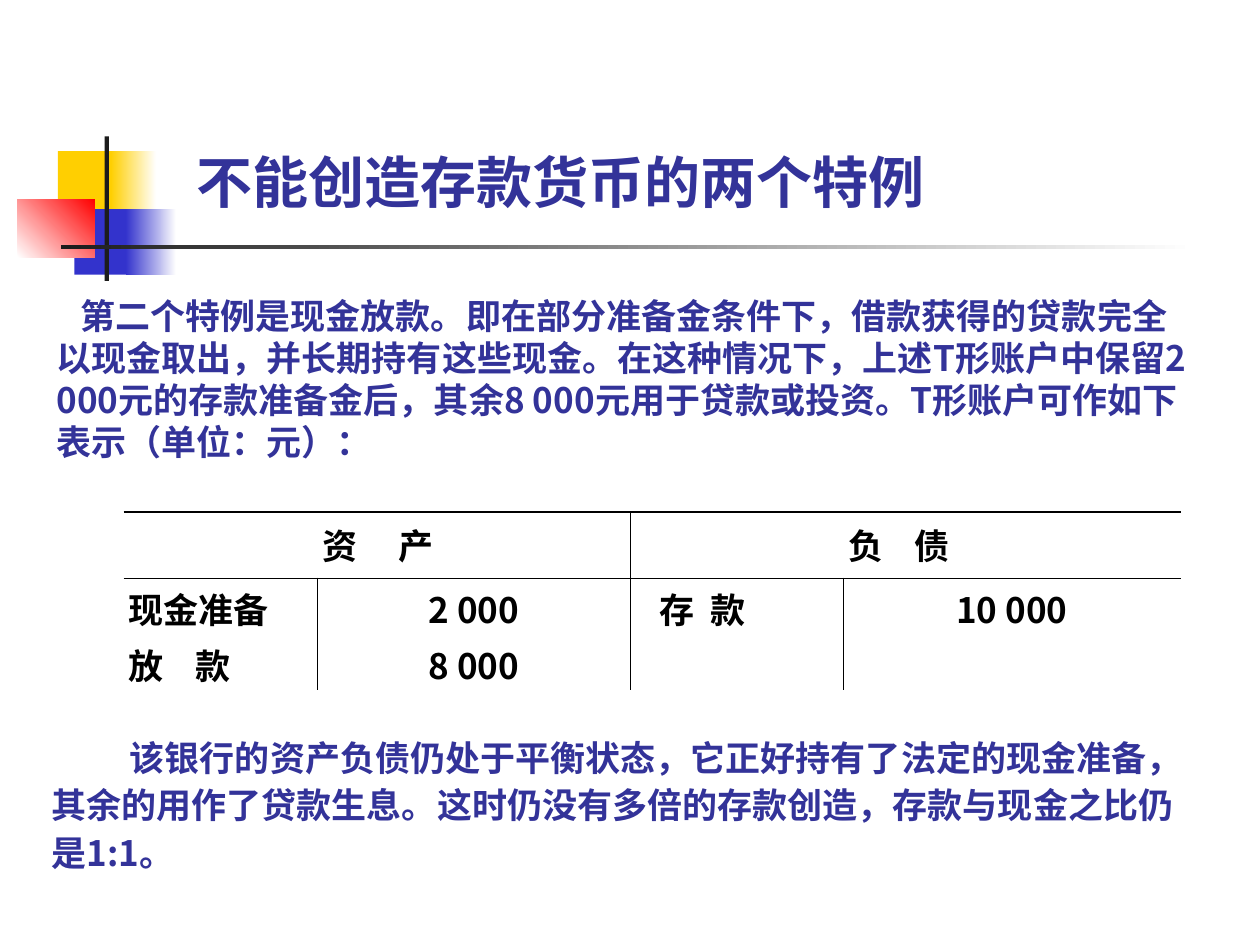
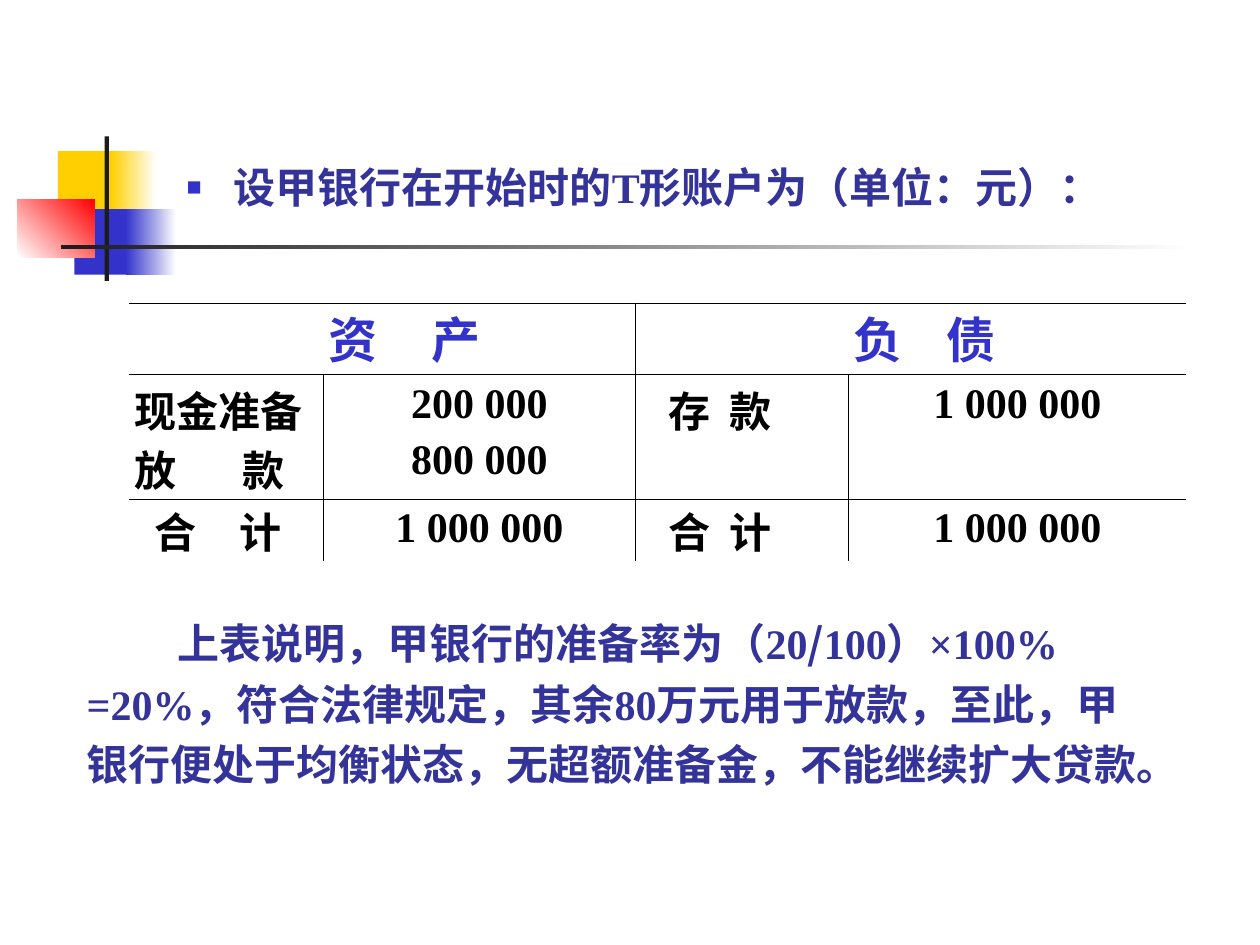
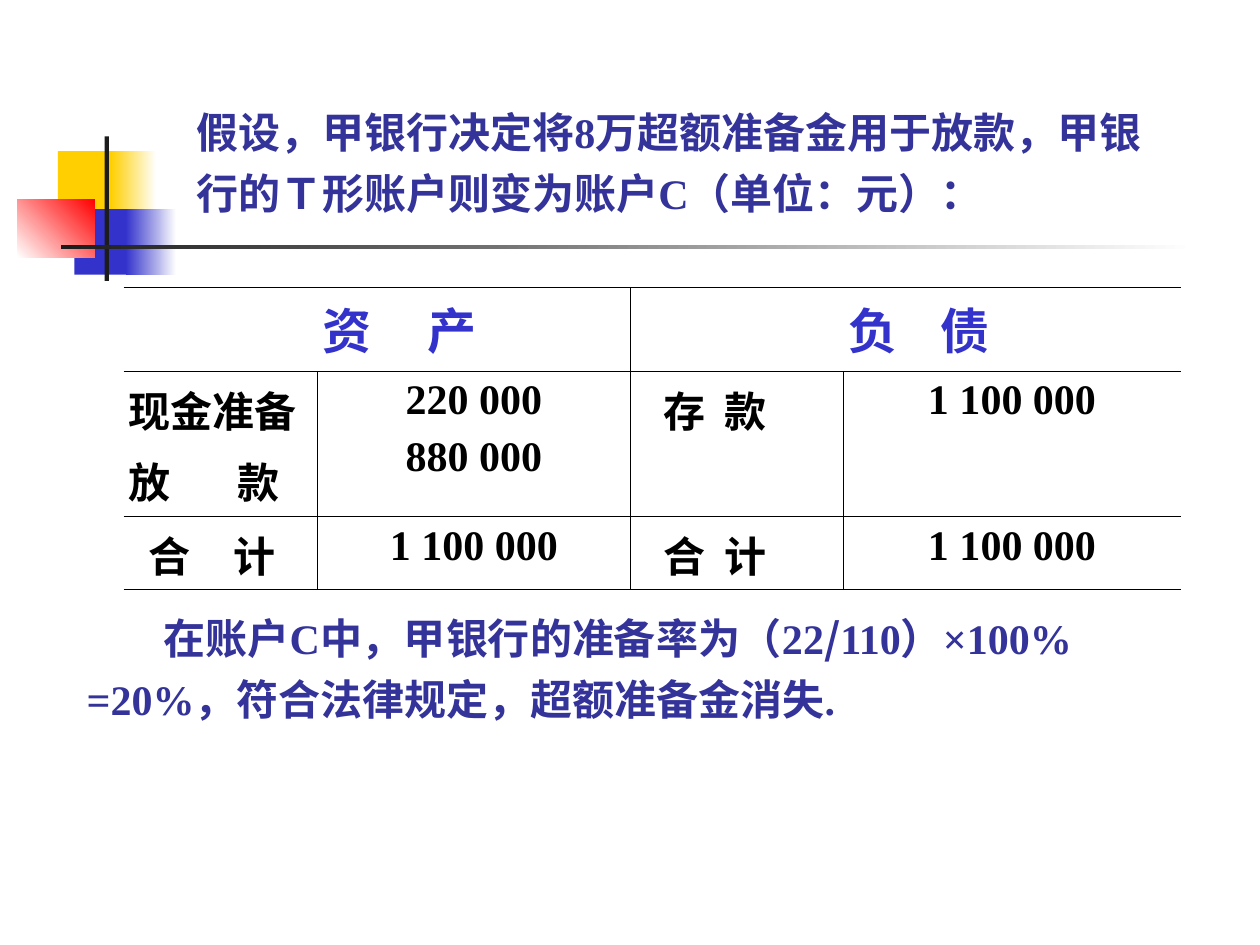
import dataclasses

import lxml.etree
import pptx
import pptx.dml.color
import pptx.enum.shapes
import pptx.enum.text
import pptx.oxml.ns
import pptx.util

Pt = pptx.util.Pt
qn = pptx.oxml.ns.qn
Anchor = pptx.enum.text.MSO_ANCHOR
Align = pptx.enum.text.PP_ALIGN


@dataclasses.dataclass(frozen=True)
class Theme:
    yellow: str = "FFCF01"
    blue: str = "3333CC"
    red: str = "FF0000"
    ink: str = "1C1C1C"
    white: str = "FFFFFF"
    black: str = "000000"
    navy: str = "333399"
    shade: str = "C0C0C0"
    sans: str = "Cabin"
    serif: str = "Times New Roman"
    chinese: str = "Noto Sans CJK SC"
    title: int = 32
    heading: int = 28
    text: int = 24
    small: int = 20


theme = Theme()


def add_child(parent, tag, **attributes):
    child = lxml.etree.SubElement(parent, qn(tag))
    for name, value in attributes.items():
        child.set(name, str(value))
    return child


def write(para, spans, size, color, spacing, shadow=False):
    """Fill a paragraph with bold (text, font) spans on an exact line spacing."""
    para.line_spacing = Pt(spacing)
    for text, font_name in spans:
        span = para.add_run()
        span.text = text
        span.font.size = Pt(size)
        span.font.bold = True
        span.font.color.rgb = pptx.dml.color.RGBColor.from_string(color)
        span.font.name = font_name
        properties = span.font.color and span._r.get_or_add_rPr()
        latin = properties.find(qn("a:latin"))
        latin.addnext(add_child(properties, "a:ea", typeface=theme.chinese))
        if shadow:
            effects = add_child(properties, "a:effectLst")
            cast = add_child(effects, "a:outerShdw", dist=Pt(2), dir=2700000, algn="tl")
            add_child(cast, "a:srgbClr", val=theme.shade)
            latin.addprevious(effects)


deck = pptx.Presentation()
deck.slide_width, deck.slide_height = Pt(720), Pt(540)
layout = deck.slide_layouts[5]

# Text boxes: left, top, width, height, first-line indent, size, line spacing, spans
# Tables: labels hold (text, left offset, tab stop); a tab parts the two characters
slides = [
    {
        "title": (105, 80, 544, 46, theme.title, 38.9, theme.sans, "不能创造存款货币的两个特例"),
        "shadow": False, "bullet": False,
        "texts": [
            (25.2, 164.6, 664, 108, 13.7, theme.small, 24, [
                ("第二个特例是现金放款。即在部分准备金条件下，借款获得的贷款完全以现金取出，"
                 "并长期持有这些现金。在这种情况下，上述T形账户中保留2 000元的存款准备金后，"
                 "其余8 000元用于贷款或投资。T形账户可作如下表示（单位：元）：", theme.chinese)]),
            (22.3, 414.2, 661, 94, 44.8, theme.small, 27.1, [
                ("该银行的资产负债仍处于平衡状态，它正好持有了法定的现金准备，其余的用作了贷款生息。"
                 "这时仍没有多倍的存款创造，存款与现金之比仍是1:1。", theme.chinese)]),
        ],
        "table": {
            "at": (70.6, 292.6), "heights": (37.7, 64), "closed": False,
            "head": (theme.small, theme.black, theme.chinese, 43, 38),
            "size": theme.small, "fonts": (theme.chinese, theme.chinese),
            "label_gap": (7, 7), "amount_gap": (7, 7),
            "rows": [
                [("现金准备\n放\t款", 0, 38), "2 000\n8 000", ("存\t款", 14, 29), "10 000"],
            ],
        },
    },
    {
        "title": (99.4, 85.8, 578, 45, theme.text, 31.7, theme.serif,
                  "设甲银行在开始时的T形账户为（单位：元）："),
        "shadow": True, "bullet": True,
        "texts": [
            (42.5, 343.4, 617, 150, 52, theme.text, 34.7, [
                ("上表说明，甲银行的准备率为（20", theme.serif),
                ("/", theme.chinese),
                ("100）×100% =20%，符合法律规定，其余80万元用于放款，至此，"
                 "甲银行便处于均衡状态，无超额准备金，不能继续扩大贷款。", theme.serif)]),
        ],
        "table": {
            "at": (73.7, 173.2), "heights": (41, 71, 35.5), "closed": False,
            "head": (theme.heading, theme.blue, theme.sans, 59, 53),
            "size": theme.text, "fonts": (theme.sans, theme.serif),
            "label_gap": (7, 4), "amount_gap": (0, 2.4),
            "rows": [
                [("现金准备\n放\t款", 0, 62), "200 000\n800 000", ("存\t款", 16, 35), "1 000 000"],
                [("合\t计", 11.5, 48.5), "1 000 000", ("合\t计", 16, 35), "1 000 000"],
            ],
        },
    },
    {
        "title": (105, 51.4, 561, 85, theme.text, 34.7, theme.serif,
                  "假设，甲银行决定将8万超额准备金用于放款，甲银行的Ｔ形账户则变为账户C（单位：元）："),
        "shadow": True, "bullet": False,
        "texts": [
            (42.5, 340.6, 626, 125, 44, theme.text, 34.7, [
                ("在账户C中，甲银行的准备率为（22", theme.serif),
                ("/", theme.chinese),
                ("110）×100% =20%，符合法律规定，超额准备金消失.", theme.serif)]),
        ],
        "table": {
            "at": (70.6, 164.2), "heights": (48, 83, 41.5), "closed": True,
            "head": (theme.heading, theme.blue, theme.sans, 60, 53),
            "size": theme.text, "fonts": (theme.sans, theme.serif),
            "label_gap": (9, 10.6), "amount_gap": (0, 2.4),
            "rows": [
                [("现金准备\n放\t款", 0, 62), "220 000\n880 000", ("存\t款", 16, 35), "1 100 000"],
                [("合\t计", 11.5, 48.5), "1 100 000", ("合\t计", 16, 35), "1 100 000"],
            ],
        },
    },
]
pages = [deck.slides.add_slide(layout) for _ in slides]

# Emblem and rule, shared by every slide through the layout
emblem = [
    (33.1, 86.4, 34.6, 37.4, [theme.yellow], 0),
    (63.4, 86.4, 25.9, 37.4, [theme.yellow, theme.white], 0),
    (42.5, 119.5, 33.1, 37.4, [theme.blue], 0),
    (72, 119.5, 28.8, 37.4, [theme.blue, theme.white], 0),
    (10, 113.8, 44.2, 33.4, [theme.white, theme.red], 45),
    (59.8, 78, 2.4, 82.6, [theme.ink], 0),
    (34.8, 140, 648, 2.6, [theme.ink, theme.white], 0),
]
for number, (left, top, width, height, colors, angle) in enumerate(emblem):
    part = pages[0].shapes.add_shape(
        pptx.enum.shapes.MSO_SHAPE.RECTANGLE, Pt(left), Pt(top), Pt(width), Pt(height))
    part.shadow.inherit = False
    part.line.fill.background()
    if len(colors) == 1:
        part.fill.solid()
        part.fill.fore_color.rgb = pptx.dml.color.RGBColor.from_string(colors[0])
    else:
        part.fill.gradient()
        part.fill.gradient_angle = angle
        for stop, color in zip(part.fill.gradient_stops, colors):
            stop.color.rgb = pptx.dml.color.RGBColor.from_string(color)
    part.element.nvSpPr.cNvPr.set("id", str(20 + number))
    layout.shapes.element.append(part.element)

column_widths = (111, 178.5, 121.7, 193)
inset = 2.9

for page, content in zip(pages, slides):
    left, top, width, height, size, spacing, font_name, text = content["title"]
    title = page.shapes.title
    title.left, title.top, title.width, title.height = Pt(left), Pt(top), Pt(width), Pt(height)
    frame = title.text_frame
    frame.word_wrap = True
    frame.auto_size = pptx.enum.text.MSO_AUTO_SIZE.NONE
    frame.vertical_anchor = Anchor.TOP
    para = frame.paragraphs[0]
    para.alignment = Align.LEFT
    write(para, [(text, font_name)], size, theme.navy, spacing, content["shadow"])
    if content["bullet"]:
        properties = para._p.get_or_add_pPr()
        properties.set("marL", str(Pt(27)))
        properties.set("indent", str(-Pt(27)))
        add_child(add_child(properties, "a:buClr"), "a:srgbClr", val=theme.blue)
        add_child(properties, "a:buSzPct", val=60000)
        add_child(properties, "a:buFont", typeface=theme.serif)
        add_child(properties, "a:buChar", char="■")

    for left, top, width, height, indent, size, spacing, spans in content["texts"]:
        box = page.shapes.add_textbox(Pt(left), Pt(top), Pt(width), Pt(height))
        box.text_frame.word_wrap = True
        para = box.text_frame.paragraphs[0]
        write(para, spans, size, theme.navy, spacing, shadow=True)
        para._p.get_or_add_pPr().set("indent", str(Pt(indent)))

    account = content["table"]
    heights = account["heights"]
    left, top = account["at"]
    graphic = page.shapes.add_table(len(heights), 4, Pt(left), Pt(top),
                                    Pt(sum(column_widths)), Pt(sum(heights)))
    table = graphic.table
    table.first_row = table.horz_banding = False
    style = next(graphic.element.iter(qn("a:tableStyleId")))
    style.text = "{2D5ABB26-0587-4C30-8999-92F81FD0307C}"
    for column, width in zip(table.columns, column_widths):
        column.width = Pt(width)
    for row, height in zip(table.rows, heights):
        row.height = Pt(height)

    head_size, head_color, head_font, asset_tab, debt_tab = account["head"]
    head = ["", ("资\t产", 0, asset_tab), "", ("负\t债", 0, debt_tab)]
    last = len(heights)
    for row_index, row in enumerate([head] + account["rows"]):
        for column_index, entry in enumerate(row):
            cell = table.cell(row_index, column_index)
            cell.fill.background()
            is_label = isinstance(entry, tuple)
            text, offset, tab = entry if is_label else (entry, 0, 0)
            cell.margin_left, cell.margin_right = Pt(inset + offset), Pt(inset)
            cell.margin_bottom = Pt(0)
            if row_index == 0:
                size, color, font_name = head_size, head_color, head_font
                cell.vertical_anchor = Anchor.MIDDLE
                cell.margin_top, gap = Pt(3.6), 0
            else:
                size, color = account["size"], theme.black
                font_name = account["fonts"][0 if is_label else 1]
                first, gap = account["label_gap" if is_label else "amount_gap"]
                cell.margin_top = Pt(min(first, heights[row_index] - size * 1.25))
            for line_index, line in enumerate(text.split("\n") if text else []):
                frame = cell.text_frame
                para = frame.add_paragraph() if line_index else frame.paragraphs[0]
                para.alignment = Align.LEFT if is_label else Align.CENTER
                if line_index:
                    para.space_before = Pt(gap)
                write(para, [(line, font_name)], size, color, size * 1.25)
                if "\t" in line:
                    stops = add_child(para._p.get_or_add_pPr(), "a:tabLst")
                    add_child(stops, "a:tab", pos=Pt(tab), algn="l")

            # Upright lines stand between columns; the middle one also splits the head
            upright = [edge == 2 or (edge in (1, 3) and row_index > 0)
                       for edge in (column_index, column_index + 1)]
            level = [edge < last or account["closed"] for edge in (row_index, row_index + 1)]
            weights = [0.75 if edge in (0, last) else 0.45 for edge in (row_index, row_index + 1)]
            borders = zip(("a:lnL", "a:lnR", "a:lnT", "a:lnB"), upright + level, [0.75] * 2 + weights)
            properties = cell._tc.get_or_add_tcPr()
            for place, (tag, drawn, weight) in enumerate(borders):
                border = add_child(properties, tag, w=Pt(weight))
                if drawn:
                    add_child(add_child(border, "a:solidFill"), "a:srgbClr", val=theme.black)
                else:
                    add_child(border, "a:noFill")
                properties.insert(place, border)

deck.save("out.pptx")
